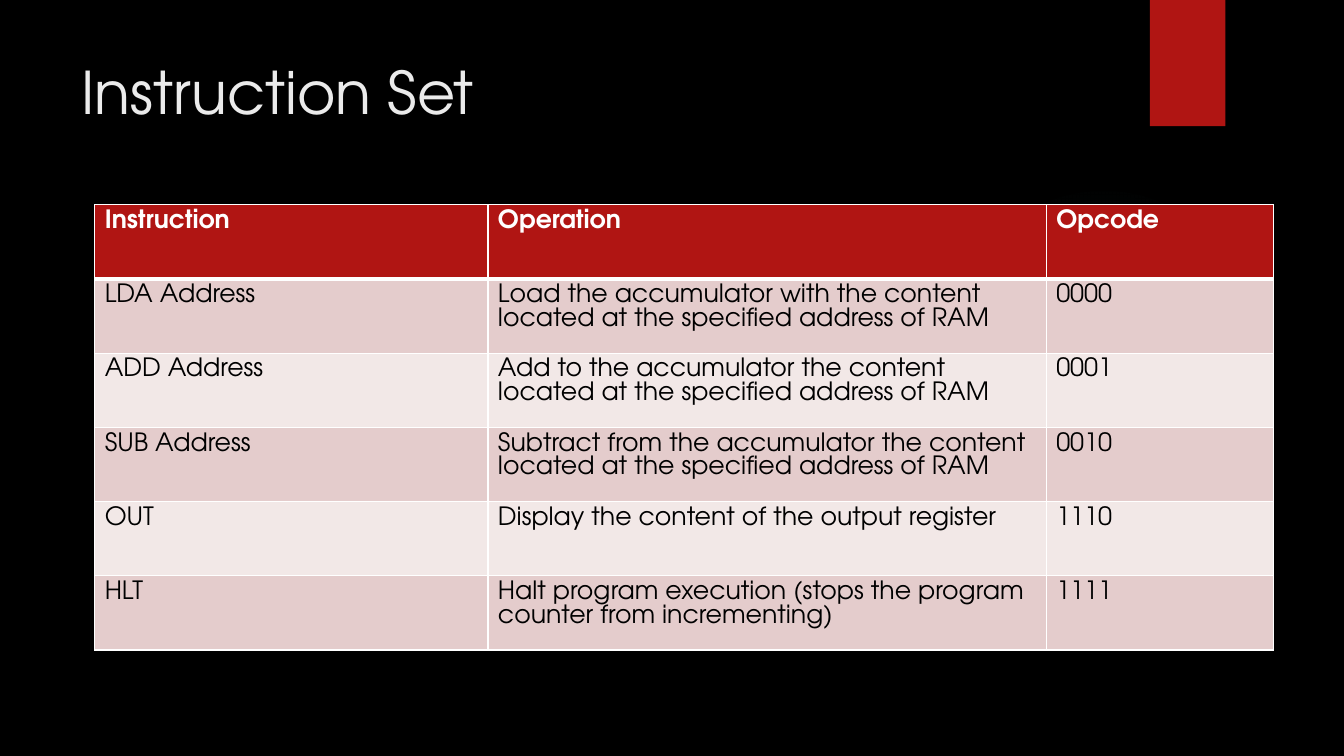
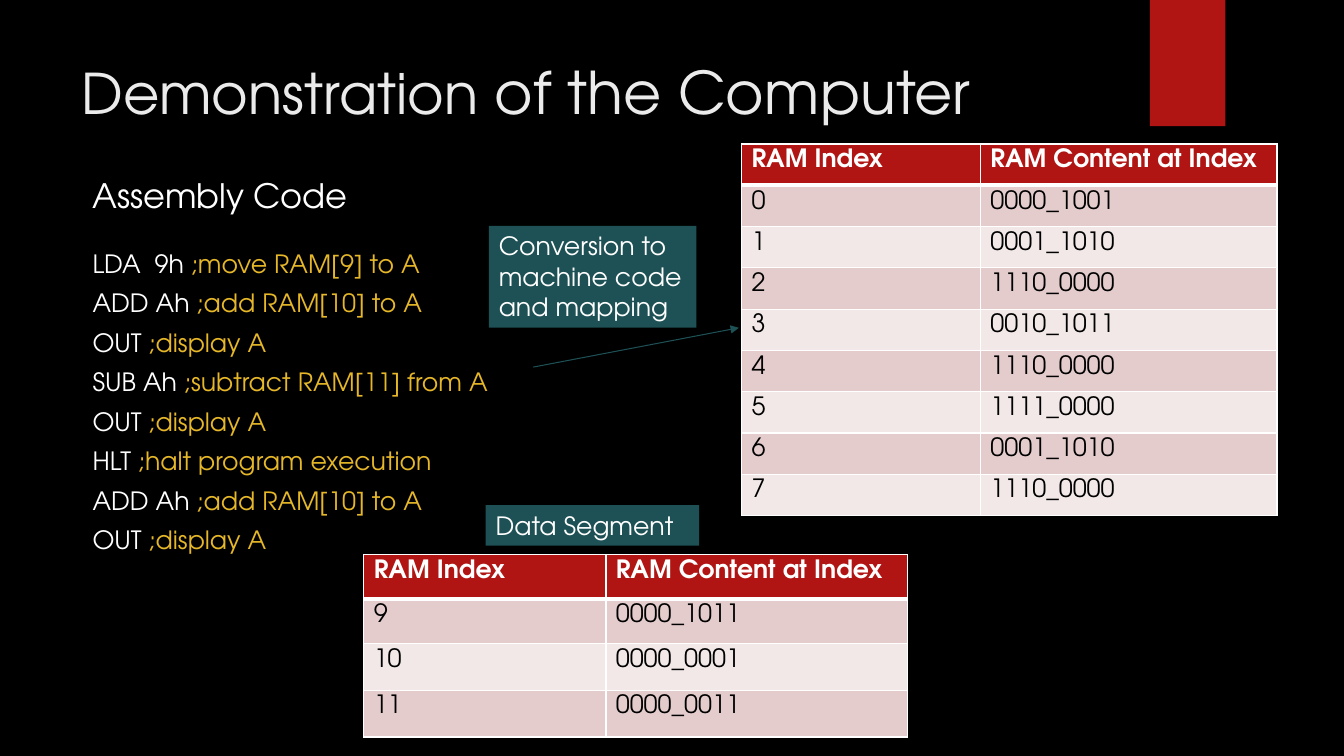
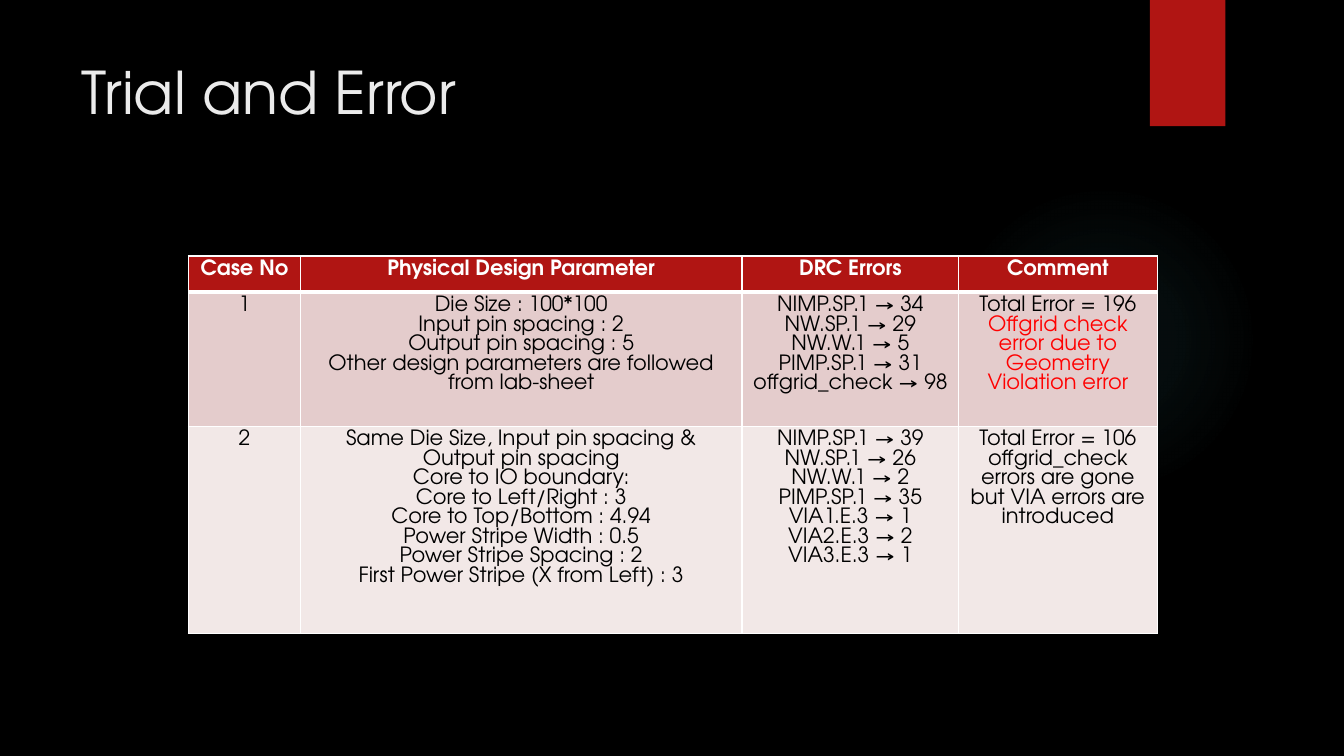
from dataclasses import dataclass

import lxml.etree
import pptx
import pptx.dml.color
import pptx.enum.shapes
import pptx.enum.text
import pptx.oxml.ns
import pptx.util

Cm = pptx.util.Cm
Pt = pptx.util.Pt
qn = pptx.oxml.ns.qn
SHAPE = pptx.enum.shapes.MSO_SHAPE
ALIGN = pptx.enum.text.PP_ALIGN
TOP = pptx.enum.text.MSO_ANCHOR.TOP


@dataclass(frozen=True)
class Theme:
    font: str = "TeX Gyre Adventor"
    black: str = "000000"
    white: str = "FFFFFF"
    title: str = "EBEBEB"
    red: str = "B01513"
    teal: str = "1E5155"
    glow: str = "50B9C1"
    comment: str = "E6B729"
    warning: str = "FF0000"
    row_dark: str = "E4CCCC"
    row_light: str = "F2E8E7"
    title_size: float = 42
    title_small: float = 40
    heading_size: float = 24
    body_size: float = 18
    small_size: float = 15
    cell_leading: float = 0.93


T = Theme()

INSTRUCTIONS = [
    ["Instruction", "Operation", "Opcode"],
    ["LDA Address", "Load the accumulator with the content located at the specified address of RAM", "0000"],
    ["ADD Address", "Add to the accumulator the content located at the specified address of RAM", "0001"],
    ["SUB Address", "Subtract from the accumulator the content located at the specified address of RAM", "0010"],
    ["OUT", "Display the content of the output register", "1110"],
    ["HLT", "Halt program execution (stops the program counter from incrementing)", "1111"],
]

CODE = [
    ("LDA  9h ", ";move RAM[9] to A"),
    ("ADD Ah ", ";add RAM[10] to A"),
    ("OUT ", ";display A"),
    ("SUB Ah ", ";subtract RAM[11] from A"),
    ("OUT ", ";display A"),
    ("HLT ", ";halt program execution"),
    ("ADD Ah ", ";add RAM[10] to A"),
    ("OUT ", ";display A"),
]

RAM_HEADER = ["RAM Index", "RAM Content at Index"]
PROGRAM = ["0000_1001", "0001_1010", "1110_0000", "0010_1011",
           "1110_0000", "1111_0000", "0001_1010", "1110_0000"]
DATA = ["0000_1011", "0000_0001", "0000_0011"]

TRIALS = [
    ["Case No", "Physical Design Parameter", "DRC Errors", "Comment"],
    [
        "1",
        "Die Size : 100*100\nInput pin spacing : 2\nOutput pin spacing : 5\n"
        "Other design parameters are followed from lab-sheet",
        "NIMP.SP.1 → 34\nNW.SP.1 → 29\nNW.W.1 → 5\nPIMP.SP.1 → 31\noffgrid_check → 98",
        "Total Error = 196\nOffgrid check error due to Geometry\nViolation error",
    ],
    [
        "2",
        "Same Die Size, Input pin spacing & Output pin spacing\nCore to IO boundary:\n"
        "Core to Left/Right : 3\nCore to Top/Bottom : 4.94\nPower Stripe Width : 0.5\n"
        "Power Stripe Spacing : 2\nFirst Power Stripe (X from Left) : 3",
        "NIMP.SP.1 → 39\nNW.SP.1 → 26\nNW.W.1 → 2\nPIMP.SP.1 → 35\n"
        "VIA1.E.3 → 1\nVIA2.E.3 → 2\nVIA3.E.3 → 1",
        "Total Error = 106\noffgrid_check errors are gone but VIA errors are introduced",
    ],
]


def rgb(color):
    return pptx.dml.color.RGBColor.from_string(color)


def sub(parent, tag, **attrs):
    return lxml.etree.SubElement(parent, qn(tag), attrs)


def style(font, size, color, bold=False):
    font.name = T.font
    font.size = Pt(size)
    font.bold = bold
    font.color.rgb = rgb(color)


def place(sp, left, top, width, height):
    sp.left, sp.top, sp.width, sp.height = Cm(left), Cm(top), Cm(width), Cm(height)


def add_block(slide, kind, left, top, width, height, color):
    sp = slide.shapes.add_shape(kind, Cm(left), Cm(top), Cm(width), Cm(height))
    sp.shadow.inherit = False
    sp.fill.solid()
    sp.fill.fore_color.rgb = rgb(color)
    sp.line.fill.background()
    return sp


def make_glow(sp):
    sp.fill.background()
    props = sp.element.spPr
    grad = lxml.etree.Element(qn("a:gradFill"))
    stops = sub(grad, "a:gsLst")
    for pos, alpha in ((0, 7), (36, 6), (69, 0)):
        stop = sub(stops, "a:gs", pos=str(pos * 1000))
        color = sub(stop, "a:srgbClr", val=T.glow)
        sub(color, "a:alpha", val=str(alpha * 1000))
    circle = sub(grad, "a:path", path="circle")
    sub(circle, "a:fillToRect", l="50000", t="50000", r="50000", b="50000")
    props.replace(props.find(qn("a:noFill")), grad)


def decorate_master(prs, slide):
    master = prs.slide_master
    master.background.fill.solid()
    master.background.fill.fore_color.rgb = rgb(T.black)
    glow = add_block(slide, SHAPE.OVAL, 23.9, 4.65, 7.82, 7.82, T.glow)
    make_glow(glow)
    band = add_block(slide, SHAPE.RECTANGLE, 28.98, 0, 1.9, 3.18, T.red)
    for index, sp in enumerate((glow, band), start=2):
        master.shapes.element.insert(index, sp.element)


def add_slide(prs, layout, title):
    slide = prs.slides.add_slide(prs.slide_layouts.get_by_name(layout))
    sp = slide.shapes.title
    place(sp, 1.8, 1.27, 26.14, 3.89)
    tf = sp.text_frame
    tf.text = title
    tf.vertical_anchor = TOP
    tf.auto_size = pptx.enum.text.MSO_AUTO_SIZE.NONE
    p = tf.paragraphs[0]
    p.alignment = ALIGN.LEFT
    style(p.font, T.title_size, T.title)
    return slide


def set_label(sp, text, size):
    tf = sp.text_frame
    tf.word_wrap = True
    tf.vertical_anchor = TOP
    tf.text = text
    p = tf.paragraphs[0]
    p.alignment = ALIGN.LEFT
    style(p.font, size, T.white)


def add_callout(slide, text, left, top, width, height):
    sp = add_block(slide, SHAPE.RECTANGLE, left, top, width, height, T.teal)
    set_label(sp, text, T.body_size)


def add_code(slide, lines):
    sp = slide.placeholders[1]
    place(sp, 2.08, 6.12, 10.74, 8.1)
    tf = sp.text_frame
    tf.auto_size = pptx.enum.text.MSO_AUTO_SIZE.NONE
    for i, (code, comment) in enumerate(lines):
        p = tf.paragraphs[0] if i == 0 else tf.add_paragraph()
        props = p._p.get_or_add_pPr()
        props.set("marL", "0")
        props.set("indent", "0")
        sub(props, "a:buNone")
        p.space_before = Pt(6.6 if i else 0)
        style(p.font, T.body_size, T.white)
        p.add_run().text = code
        r = p.add_run()
        r.text = comment
        r.font.color.rgb = rgb(T.comment)


def set_borders(cell, top, bottom):
    props = cell._tc.get_or_add_tcPr()
    edges = (("a:lnL", 1), ("a:lnR", 1), ("a:lnT", top), ("a:lnB", bottom))
    for index, (tag, width) in enumerate(edges):
        ln = lxml.etree.Element(qn(tag), w=str(Pt(width)))
        sub(sub(ln, "a:solidFill"), "a:srgbClr", val=T.white)
        props.insert(index, ln)


def add_grid(slide, left, top, cols, heights, rows, size=T.body_size,
             align=ALIGN.LEFT, margins=(0.25, 0.13)):
    frame = slide.shapes.add_table(len(rows), len(cols), Cm(left), Cm(top),
                                   Cm(sum(cols)), Cm(sum(heights)))
    table = frame.table
    for column, width in zip(table.columns, cols):
        column.width = Cm(width)
    for i, (row, height) in enumerate(zip(rows, heights)):
        table.rows[i].height = Cm(height)
        header = i == 0
        fill = T.red if header else (T.row_light, T.row_dark)[i % 2]
        for j, text in enumerate(row):
            cell = table.cell(i, j)
            cell.text = text
            cell.margin_left = cell.margin_right = Cm(margins[0])
            cell.margin_top = cell.margin_bottom = Cm(margins[1])
            cell.fill.solid()
            cell.fill.fore_color.rgb = rgb(fill)
            set_borders(cell, 3 if i == 1 else 1, 3 if header else 1)
            for p in cell.text_frame.paragraphs:
                p.alignment = align
                p.line_spacing = Pt(size * T.cell_leading)
                style(p.font, size, T.white if header else T.black, header)
    return table


def add_ram(slide, left, top, cols, heights, first, contents):
    rows = [[str(i), content] for i, content in enumerate(contents, first)]
    add_grid(slide, left, top, cols, heights, [RAM_HEADER] + rows)


def add_arrow(slide, x1, y1, x2, y2):
    line = slide.shapes.add_connector(pptx.enum.shapes.MSO_CONNECTOR.STRAIGHT,
                                      Cm(x1), Cm(y1), Cm(x2), Cm(y2))
    line.line.color.rgb = rgb(T.teal)
    line.line.width = Pt(0.75)
    props = line.element.spPr
    sub(props.find(qn("a:ln")), "a:tailEnd", type="triangle")
    sub(props, "a:effectLst")


def build_instructions(prs):
    slide = add_slide(prs, "Title Only", "Instruction Set")
    decorate_master(prs, slide)
    add_grid(slide, 2.39, 5.16, [9.91, 14.07, 5.72], [1.87] * 6, INSTRUCTIONS)


def build_demonstration(prs):
    slide = add_slide(prs, "Title and Content", "Demonstration")
    p = slide.shapes.title.text_frame.paragraphs[0]
    p.runs[0].font.size = Pt(T.title_small)
    p.add_run().text = " of the Computer"
    heading = slide.shapes.add_textbox(Cm(2.08), Cm(4.29), Cm(15.5), Cm(1.27))
    set_label(heading, "Assembly Code", T.heading_size)
    add_code(slide, CODE)
    add_ram(slide, 18.69, 3.63, [6.02, 7.47], [1.04] * 9, 0, PROGRAM)
    add_ram(slide, 9.17, 13.97, [6.1, 7.59], [1.12, 1.12, 1.18, 1.18], 9, DATA)
    add_arrow(slide, 13.44, 9.25, 18.62, 8.26)
    add_callout(slide, "Conversion to machine code and mapping", 12.32, 5.69, 5.23, 2.57)
    add_callout(slide, "Data Segment", 12.24, 12.73, 5.38, 1.02)


def build_trials(prs):
    slide = add_slide(prs, "Title Only", "Trial and Error")
    table = add_grid(slide, 4.75, 6.45, [2.82, 11.13, 5.46, 5], [0.91, 3.38, 5.23],
                     TRIALS, T.small_size, ALIGN.CENTER, (0.18, 0.1))
    for p in table.cell(1, 3).text_frame.paragraphs[1:]:
        p.font.color.rgb = rgb(T.warning)


def main():
    prs = pptx.Presentation()
    prs.slide_width, prs.slide_height = Cm(33.87), Cm(19.05)
    build_instructions(prs)
    build_demonstration(prs)
    build_trials(prs)
    prs.save("out.pptx")


if __name__ == "__main__":
    main()
